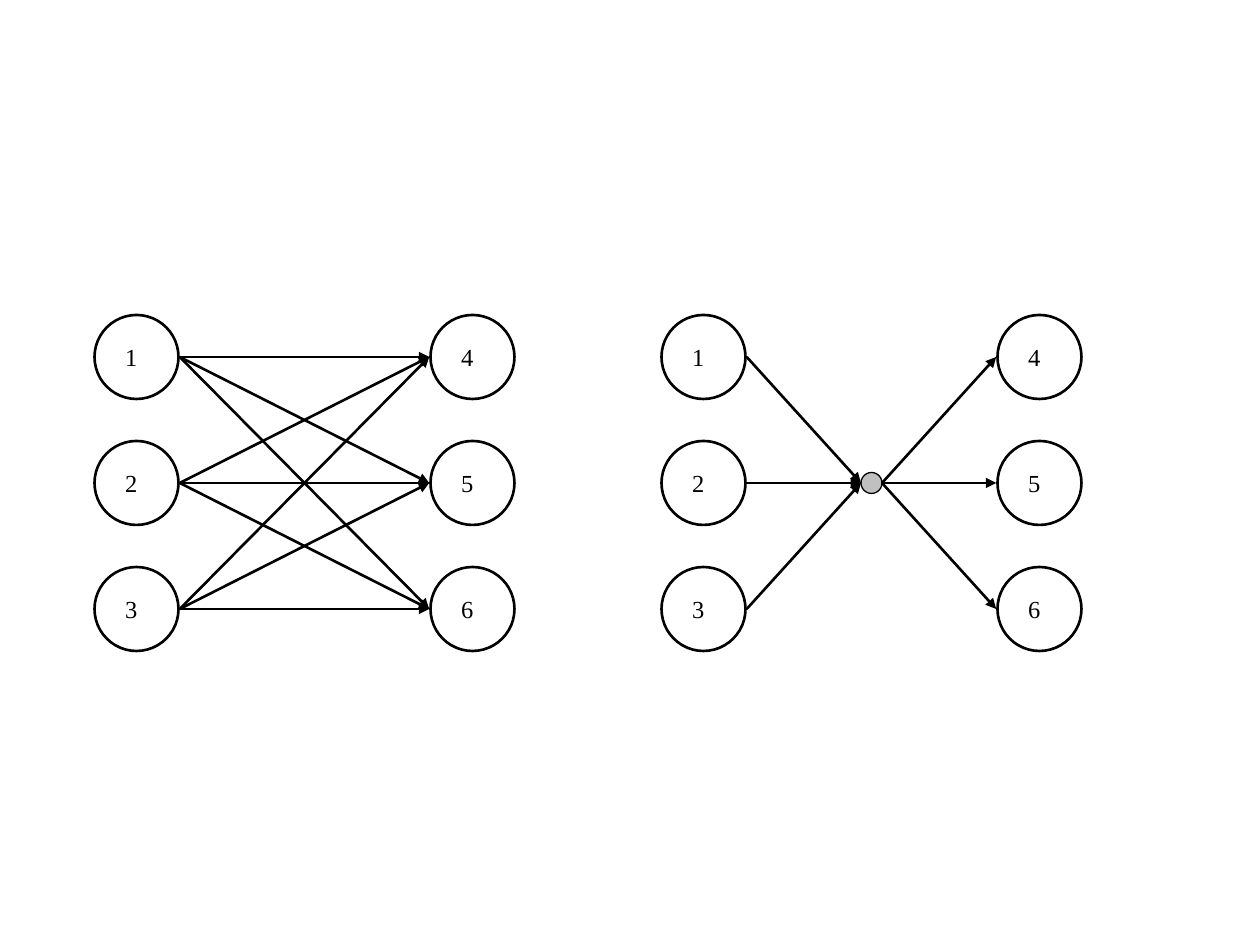
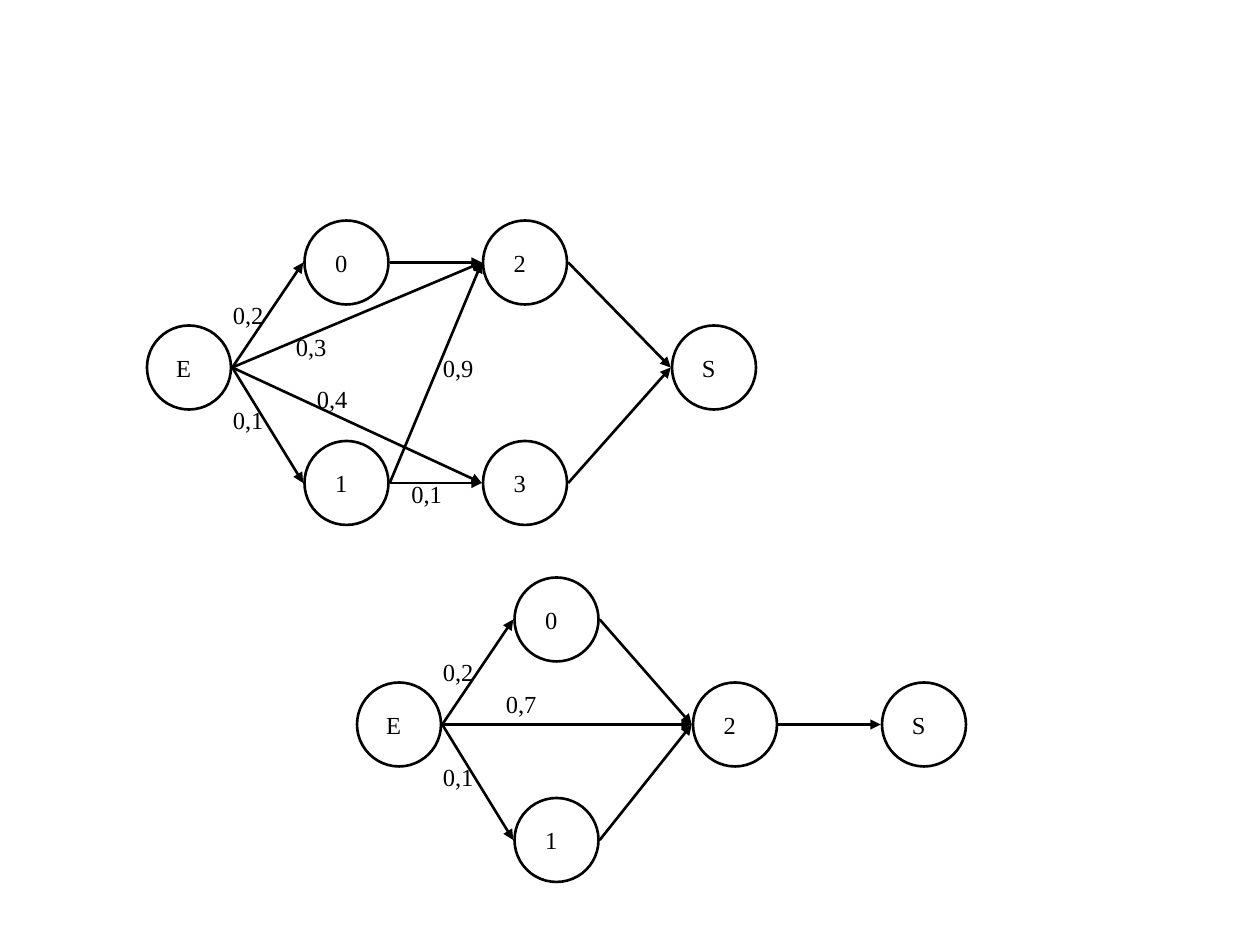
from itertools import product

from lxml import etree
from pptx import Presentation
from pptx.dml.color import RGBColor
from pptx.enum.shapes import MSO_CONNECTOR, MSO_SHAPE
from pptx.enum.text import MSO_AUTO_SIZE, PP_ALIGN
from pptx.oxml.ns import qn
from pptx.util import Inches, Pt

STRAIGHT = MSO_CONNECTOR.STRAIGHT
ELLIPSE = MSO_SHAPE.OVAL
CENTER, LEFT = PP_ALIGN.CENTER, PP_ALIGN.LEFT
GROW = MSO_AUTO_SIZE.SHAPE_TO_FIT_TEXT


class Theme:
    ink = RGBColor(0x00, 0x00, 0x00)
    hub_fill = RGBColor(0xC0, 0xC0, 0xC0)
    font = "Times New Roman"
    text_size = Pt(14)
    line = Pt(1.5)
    hub_line = Pt(0.75)


# Every position is a whole number of grid steps, twelve to the inch
STEPS = 12
NODE_SIZE, HUB_SIZE = 8, 2
NODE_TEXT_WIDTH, WEIGHT_WIDTH = 5, 6
TEXT_HEIGHT = Inches(0.34)
ARROW_GAP = Inches(0.01)
HUB = "hub"


def grid(steps):
    return Inches(steps / STEPS)


def add_text(shapes, text, left, top, width, alignment):
    box = shapes.add_textbox(grid(left), grid(top), grid(width), TEXT_HEIGHT)
    text_frame = box.text_frame
    text_frame.word_wrap = True
    text_frame.auto_size = GROW
    text_frame.text = text
    paragraph = text_frame.paragraphs[0]
    paragraph.alignment = alignment
    font = paragraph.runs[0].font
    font.name, font.size = Theme.font, Theme.text_size
    font.color.rgb = Theme.ink


# Diagrams: nodes and weights hold left and top in grid steps
def_rows = (30, 42, 54)
full_nodes = {str(number): (9 + 32 * column, top)
              for number, (column, top) in enumerate(product((0, 1), def_rows), 1)}
hub_nodes = {name: (left + 54, top) for name, (left, top) in full_nodes.items()}
hub_nodes[HUB] = (82, 45)

full_mesh = {
    "nodes": full_nodes,
    "arrows": list(product("123", "456")),
    "weights": [],
}
through_hub = {
    "nodes": hub_nodes,
    "arrows": [*product("123", [HUB]), *product([HUB], "456")],
    "weights": [],
}
weighted_paths = {
    "nodes": {"E": (14, 31), "0": (29, 21), "1": (29, 42),
              "2": (46, 21), "3": (46, 42), "S": (64, 31)},
    "arrows": ["12", "3S", "2S", "13", "02", "E1", "E0", "E2", "E3"],
    "weights": [("0,1", 21, 38), ("0,2", 21, 28), ("0,1", 38, 45),
                ("0,9", 41, 33), ("0,3", 27, 31), ("0,4", 29, 36)],
}
merged_paths = {
    "nodes": {"E": (34, 65), "0": (49, 55), "1": (49, 76),
              "2": (66, 65), "S": (84, 65)},
    "arrows": ["12", "2S", "02", "E1", "E0", "E2"],
    "weights": [("0,1", 41, 72), ("0,2", 41, 62), ("0,7", 47, 65)],
}

presentation = Presentation()
presentation.slide_width, presentation.slide_height = Inches(10), Inches(7.5)

for diagrams in ((full_mesh, through_hub), (weighted_paths, merged_paths)):
    slide = presentation.slides.add_slide(presentation.slide_layouts[6])
    for diagram in diagrams:
        shapes = slide.shapes.add_group_shape().shapes
        ports = {}

        # Circles with their names
        for name, (left, top) in diagram["nodes"].items():
            is_hub = name == HUB
            size = HUB_SIZE if is_hub else NODE_SIZE
            circle = shapes.add_shape(ELLIPSE, grid(left), grid(top), grid(size), grid(size))
            circle.shadow.inherit = False
            circle.line.color.rgb = Theme.ink
            if is_hub:
                circle.fill.solid()
                circle.fill.fore_color.rgb = Theme.hub_fill
                circle.line.width = Theme.hub_line
            else:
                circle.fill.background()
                circle.line.width = Theme.line
                add_text(shapes, name, left + 1, top + 2, NODE_TEXT_WIDTH, CENTER)
            gap = 0 if is_hub else ARROW_GAP
            ports[name] = (grid(left) - gap, grid(left + size) + gap, grid(top + size / 2))

        # Arrows from the right of one circle to the left of another
        for source, target in diagram["arrows"]:
            start_x, start_y = ports[source][1:]
            end_x, end_y = ports[target][0], ports[target][2]
            arrow = shapes.add_connector(STRAIGHT, start_x, start_y, end_x, end_y)
            arrow.line.color.rgb = Theme.ink
            arrow.line.width = Theme.line
            etree.SubElement(arrow.line._get_or_add_ln(), qn("a:tailEnd"), type="triangle")
            etree.SubElement(arrow._element.spPr, qn("a:effectLst"))

        # Weights beside the arrows
        for weight, left, top in diagram["weights"]:
            add_text(shapes, weight, left, top, WEIGHT_WIDTH, LEFT)

presentation.save("out.pptx")
